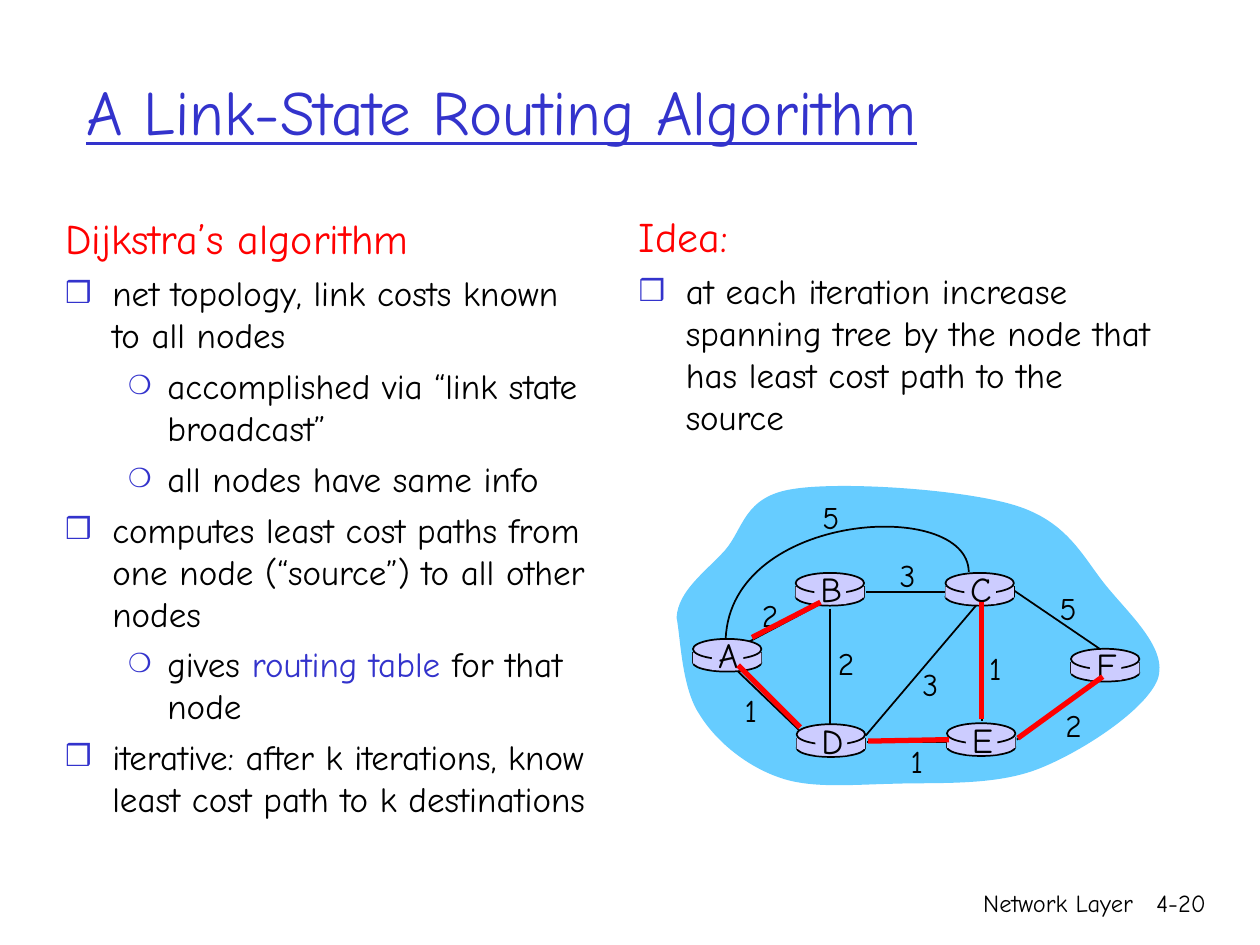
from dataclasses import dataclass

from lxml.etree import SubElement
from pptx import Presentation
from pptx.dml.color import RGBColor
from pptx.enum.shapes import MSO_CONNECTOR, MSO_SHAPE
from pptx.enum.text import MSO_ANCHOR, MSO_AUTO_SIZE, PP_ALIGN
from pptx.oxml.ns import qn
from pptx.util import Cm, Pt


@dataclass(frozen=True)
class Theme:
    font: str = "Comic Neue"
    accent: str = "3333CC"
    heading: str = "FF0000"
    ink: str = "000000"
    cloud: str = "66CCFF"
    router: str = "CCCCFF"
    title_size: int = 36
    heading_size: int = 24
    body_size: int = 20
    cost_size: int = 18
    footer_size: int = 14
    thin: int = 1
    thick: int = 3


theme = Theme()


def add_text(shapes, box, text, size, align, wrap=False):
    left, top, width, height = box
    shape = shapes.add_textbox(Cm(left), Cm(top), Cm(width), Cm(height))
    shape.text_frame.text = text
    shape.text_frame.word_wrap = wrap
    paragraph = shape.text_frame.paragraphs[0]
    paragraph.alignment = align
    font = paragraph.runs[0].font
    font.name, font.size = theme.font, Pt(size)
    font.color.rgb = RGBColor.from_string(theme.ink)


def add_line(start_x, start_y, end_x, end_y, color, width):
    line = slide.shapes.add_connector(
        MSO_CONNECTOR.STRAIGHT, Cm(start_x), Cm(start_y), Cm(end_x), Cm(end_y))
    line.line.color.rgb = RGBColor.from_string(color)
    line.line.width = Pt(width)
    SubElement(line._element.spPr, qn("a:effectLst"))


presentation = Presentation()
presentation.slide_width, presentation.slide_height = Cm(25.4), Cm(19.05)
slide = presentation.slides.add_slide(presentation.slide_layouts[3])

title, left_body, right_body = slide.placeholders
title.left, title.top, title.width, title.height = Cm(1.48), Cm(0.64), Cm(21.59), Cm(3.18)
title.text_frame.text = "A Link-State Routing Algorithm"
title.text_frame.vertical_anchor = MSO_ANCHOR.MIDDLE
title.text_frame.auto_size = MSO_AUTO_SIZE.NONE
title_paragraph = title.text_frame.paragraphs[0]
title_paragraph.alignment = PP_ALIGN.LEFT
title_font = title_paragraph.runs[0].font
title_font.name, title_font.size, title_font.underline = theme.font, Pt(theme.title_size), True
title_font.color.rgb = RGBColor.from_string(theme.accent)

columns = [
    (left_body, 1.06, 4.16, [
        ("heading", ["Dijkstra’s algorithm"]),
        ("item", ["net topology, link costs known to all nodes"]),
        ("subitem", ["accomplished via “link state broadcast”"]),
        ("subitem", ["all nodes have same info"]),
        ("item", ["computes least cost paths from one node (“source”) to all other nodes"]),
        ("subitem", ["gives ", "routing table", " for that node"]),
        ("item", ["iterative: after k iterations, know least cost path to k destinations"]),
    ]),
    (right_body, 12.62, 4.12, [
        ("heading", ["Idea:"]),
        ("item", ["at each iteration increase spanning tree by the node "
                  "that has least cost path to the source"]),
    ]),
]
paragraph_styles = {
    "heading": (0, 0.95, 0.95, 6, theme.heading_size, theme.heading, None, None),
    "item": (0, 0.95, 0.95, 5, theme.body_size, theme.ink, "❒", 85),
    "subitem": (1, 2.06, 0.79, 5, theme.body_size, theme.ink, "❍", 75),
}
for body, left, top, entries in columns:
    body.left, body.top, body.width, body.height = Cm(left), Cm(top), Cm(11.2), Cm(13.67)
    body.text_frame.auto_size = MSO_AUTO_SIZE.NONE
    body.text_frame.text = "\n".join("" for entry in entries)
    for paragraph, (style, texts) in zip(body.text_frame.paragraphs, entries):
        level, margin, hanging, space, size, color, bullet, percent = paragraph_styles[style]
        paragraph.level = level
        paragraph.space_before = Pt(space)
        properties = paragraph._p.get_or_add_pPr()
        properties.set("marL", str(Cm(margin)))
        properties.set("indent", str(-Cm(hanging)))
        if bullet:
            bullet_color = SubElement(properties, qn("a:buClr"))
            SubElement(bullet_color, qn("a:srgbClr"), val=theme.accent)
            SubElement(properties, qn("a:buSzPct"), val=str(percent * 1000))
            SubElement(properties, qn("a:buChar"), char=bullet)
        else:
            SubElement(properties, qn("a:buNone"))
        for text in texts:
            run = paragraph.add_run()
            run.text = text
            run.font.name, run.font.size = theme.font, Pt(size)
            run_color = theme.accent if text == "routing table" else color
            run.font.color.rgb = RGBColor.from_string(run_color)

cloud_points = [
    (13.64, 12.45),
    (13.67, 11.91), (14.22, 11.53), (14.61, 11.1), (14.99, 10.67), (14.99, 10.01), (15.98, 9.86),
    (16.94, 9.7), (19.41, 9.86), (20.47, 10.19), (21.54, 10.52), (21.84, 11.25), (22.3, 11.81),
    (22.78, 12.4), (23.55, 13.08), (23.34, 13.69), (23.11, 14.3), (21.84, 15.14), (20.96, 15.49),
    (20.07, 15.85), (18.9, 15.77), (18.01, 15.8), (17.15, 15.82), (16.33, 15.9), (15.7, 15.67),
    (15.04, 15.44), (14.43, 14.94), (14.1, 14.4), (13.74, 13.87), (13.72, 12.85), (13.64, 12.45),
]
arc_points = [(19.53, 11.53), (19.51, 10.03), (14.73, 10.31), (14.63, 12.88)]
for points, closed in [(cloud_points, True), (arc_points, False)]:
    (start_x, start_y), *controls = points
    builder = slide.shapes.build_freeform(Cm(start_x), Cm(start_y))
    builder.add_line_segments([(Cm(x), Cm(y)) for x, y in controls], close=closed)
    outline = builder.convert_to_shape()
    segments = list(outline._element.iter(qn("a:lnTo")))
    for first, second, third in zip(segments[::3], segments[1::3], segments[2::3]):
        first.tag = qn("a:cubicBezTo")
        for segment in (second, third):
            first.append(segment[0])
            segment.getparent().remove(segment)
    outline.shadow.inherit = False
    if closed:
        outline.fill.solid()
        outline.fill.fore_color.rgb = RGBColor.from_string(theme.cloud)
        outline.line.fill.background()
    else:
        outline.fill.background()
        outline.line.color.rgb = RGBColor.from_string(theme.ink)
        outline.line.width = Pt(theme.thin)

links = [
    (15.11, 12.93, 16.64, 12.12), (19.79, 12.24, 19.79, 14.53), (16.74, 12.27, 16.74, 14.63),
    (17.45, 14.83, 19.69, 12.19), (20.5, 14.91, 22.1, 13.72), (19.1, 14.96, 17.48, 14.96),
    (16.1, 14.71, 14.88, 13.54), (19.08, 11.94, 17.45, 11.94), (22.17, 13.08, 20.45, 11.91),
]
for link in links:
    add_line(*link, theme.ink, theme.thin)

routers = {"A": (13.97, 12.88), "D": (16.06, 14.6), "B": (16.04, 11.55),
           "C": (19.06, 11.55), "E": (19.09, 14.58), "F": (21.59, 13.08)}
router_width = 1.38
router_parts = [
    (MSO_SHAPE.OVAL, 0, 0.3, router_width, 0.36, True),
    (MSO_SHAPE.RECTANGLE, 0, 0.27, router_width, 0.23, False),
    (MSO_SHAPE.OVAL, 0, 0, router_width, 0.41, True),
    (MSO_SHAPE.RECTANGLE, 0.38, 0.05, 0.64, 0.58, False),
]
for name, (left, top) in routers.items():
    for side in (left, left + router_width):
        add_line(side, top + 0.27, side, top + 0.49, theme.ink, theme.thin)
    label = None
    for kind, offset_x, offset_y, width, height, outlined in router_parts:
        if offset_x:
            label = slide.shapes.add_group_shape()
        shapes = label.shapes if label else slide.shapes
        part = shapes.add_shape(
            kind, Cm(left + offset_x), Cm(top + offset_y), Cm(width), Cm(height))
        part.shadow.inherit = False
        part.fill.solid()
        part.fill.fore_color.rgb = RGBColor.from_string(theme.router)
        if outlined:
            part.line.color.rgb = RGBColor.from_string(theme.ink)
            part.line.width = Pt(theme.thin)
        else:
            part.line.fill.background()
    add_text(label.shapes, (left + 0.25, top - 0.23, 0.93, 1.12),
             name, theme.body_size, PP_ALIGN.CENTER)

costs = [("2", 15.11, 11.89), ("2", 16.64, 12.85), ("1", 14.75, 13.8), ("3", 18.34, 13.28),
         ("1", 18.1, 14.83), ("1", 19.68, 12.95), ("2", 21.23, 14.1), ("5", 21.11, 11.74),
         ("3", 17.88, 11.08), ("5", 16.33, 9.91)]
for cost, left, top in costs:
    width = 0.77 if cost == "1" else 0.83
    add_text(slide.shapes, (left, top, width, 1.02), cost, theme.cost_size, PP_ALIGN.CENTER)

tree_links = [
    (14.88, 13.41, 16.13, 14.66), (17.5, 14.94, 19.13, 14.91), (15.16, 12.85, 16.54, 12.14),
    (19.79, 14.5, 19.79, 12.14), (20.52, 14.88, 22.23, 13.64),
]
for link in tree_links:
    add_line(*link, theme.heading, theme.thick)

for text, left, width in [("Network Layer", 15.04, 8.05), ("4-20", 22.68, 1.88)]:
    add_text(slide.shapes, (left, 17.78, width, 1.27), text,
             theme.footer_size, PP_ALIGN.RIGHT, wrap=True)

presentation.save("out.pptx")
